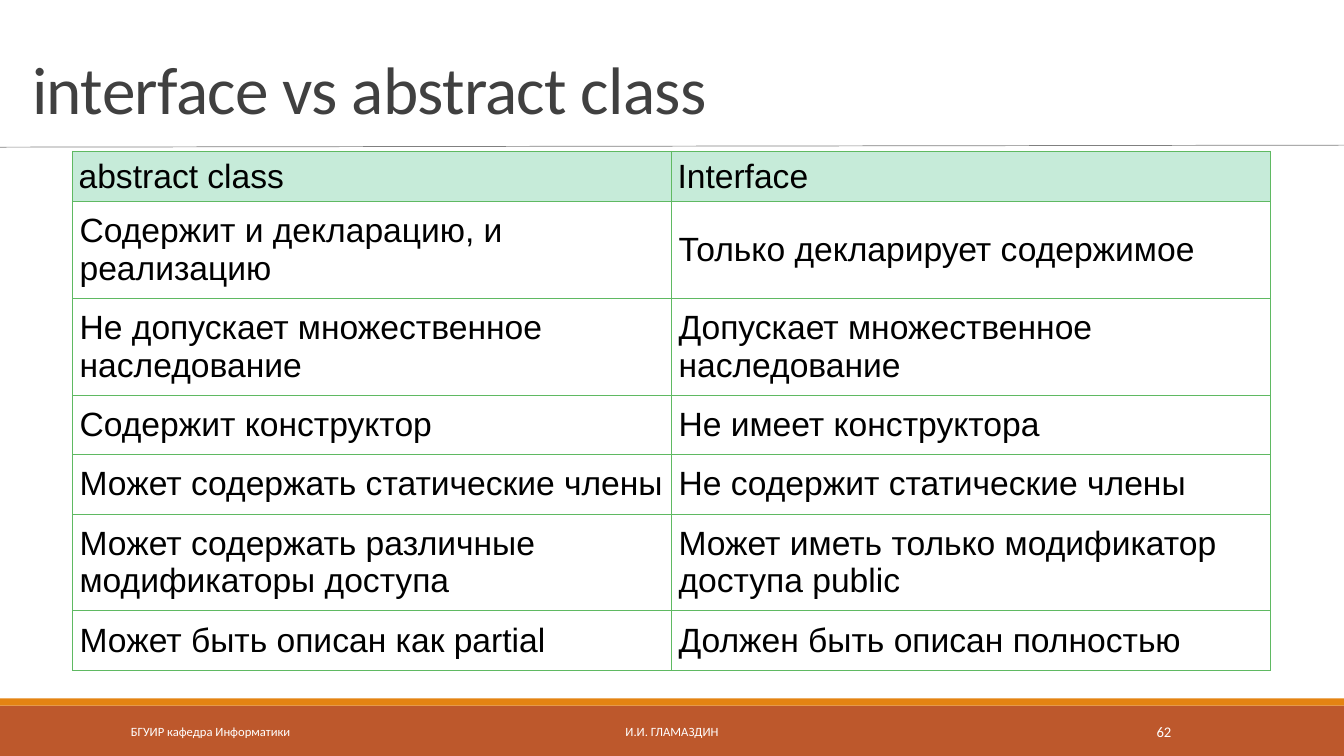
from lxml import etree
from pptx import Presentation
from pptx.dml.color import RGBColor
from pptx.enum import shapes, text
from pptx.oxml.ns import qn
from pptx.util import Inches, Pt

WHITE = RGBColor(0xFF, 0xFF, 0xFF)
BLACK = RGBColor(0, 0, 0)
TITLE_GREY = RGBColor(0x40, 0x40, 0x40)
RULE_GREY = RGBColor(0x80, 0x80, 0x80)
RUST = RGBColor(0xBD, 0x58, 0x2C)
ORANGE = RGBColor(0xE4, 0x83, 0x12)
HEADER_GREEN = RGBColor(0xC6, 0xEB, 0xD9)
BORDER_GREEN = RGBColor(0x5F, 0xB9, 0x62)

HEADER_HEIGHT, ONE_LINE, TWO_LINES = 0.5, 0.59, 0.96
COMPARISON = [
    (HEADER_HEIGHT, "abstract class", "Interface"),
    (TWO_LINES, "Содержит и декларацию, и реализацию", "Только декларирует содержимое"),
    (TWO_LINES, "Не допускает множественное наследование", "Допускает множественное наследование"),
    (ONE_LINE, "Содержит конструктор", "Не имеет конструктора"),
    (ONE_LINE, "Может содержать статические члены", "Не содержит статические члены"),
    (TWO_LINES, "Может содержать различные модификаторы доступа",
     "Может иметь только модификатор доступа public"),
    (ONE_LINE, "Может быть описан как partial", "Должен быть описан полностью"),
]
FOOTERS = [
    (1.2, 2.7, "БГУИР кафедра Информатики", 9, text.PP_ALIGN.LEFT),
    (4.03, 5.27, "И.И. ГЛАМАЗДИН", 9, text.PP_ALIGN.CENTER),
    (10.83, 1.43, "62", 10.5, text.PP_ALIGN.CENTER),
]


def style_font(font, name, size, color):
    font.name = name
    font.size = Pt(size)
    font.bold = False
    font.color.rgb = color


def add_cell_borders(cell):
    properties = cell._tc.get_or_add_tcPr()
    for side in ("a:lnL", "a:lnR", "a:lnT", "a:lnB"):
        line = etree.SubElement(properties, qn(side), w=str(Pt(0.6)))
        fill = etree.SubElement(line, qn("a:solidFill"))
        etree.SubElement(fill, qn("a:srgbClr"), val=str(BORDER_GREEN))


presentation = Presentation()
presentation.slide_width = Inches(13.33)
presentation.slide_height = Inches(7.5)
slide = presentation.slides.add_slide(presentation.slide_layouts[5])

# Footer bars and the rule under the title
for top, height, color in [(7, 0.5, RUST), (6.93, 0.07, ORANGE)]:
    bar = slide.shapes.add_shape(
        shapes.MSO_SHAPE.RECTANGLE, 0, Inches(top), Inches(13.33), Inches(height))
    bar.shadow.inherit = False
    bar.fill.solid()
    bar.fill.fore_color.rgb = color
    bar.line.fill.background()

rule = slide.shapes.add_connector(
    shapes.MSO_CONNECTOR.STRAIGHT, 0, Inches(1.46), Inches(13.37), Inches(1.44))
rule.line.color.rgb = RULE_GREY
rule.line.width = Pt(0.5)
etree.SubElement(rule._element.spPr, qn("a:effectLst"))

# Title
title = slide.shapes.title
title.left, title.top = Inches(0.22), Inches(0.31)
title.width, title.height = Inches(12.89), Inches(1.01)
title.text_frame.text = "interface vs abstract class"
title.text_frame.auto_size = text.MSO_AUTO_SIZE.NONE
title.text_frame.vertical_anchor = text.MSO_ANCHOR.BOTTOM
paragraph = title.text_frame.paragraphs[0]
paragraph.alignment = text.PP_ALIGN.LEFT
paragraph.line_spacing = 0.85
run = paragraph.runs[0]
style_font(run.font, "Calibri", 48, TITLE_GREY)
run._r.get_or_add_rPr().set("spc", "-50")

# Comparison table
table_height = sum(height for height, *_ in COMPARISON)
table = slide.shapes.add_table(
    len(COMPARISON), 2, Inches(0.72), Inches(1.5), Inches(11.88), Inches(table_height)).table
table.horz_banding = False
table.first_row = False
for row_index, (height, *entries) in enumerate(COMPARISON):
    table.rows[row_index].height = Inches(height)
    is_header = row_index == 0
    for column_index, entry in enumerate(entries):
        cell = table.cell(row_index, column_index)
        cell.text_frame.text = entry
        style_font(cell.text_frame.paragraphs[0].runs[0].font, "Arial", 24, BLACK)
        cell.vertical_anchor = text.MSO_ANCHOR.MIDDLE
        cell.margin_left = Inches(0.06 if is_header else 0.07)
        cell.margin_right = Inches(0.05)
        cell.margin_top = cell.margin_bottom = Inches(0.06 if is_header else 0.1)
        add_cell_borders(cell)
        if is_header:
            cell.fill.solid()
            cell.fill.fore_color.rgb = HEADER_GREEN
        else:
            cell.fill.background()

# Footer texts
for left, width, words, size, alignment in FOOTERS:
    footer = slide.shapes.add_textbox(Inches(left), Inches(7.06), Inches(width), Inches(0.4))
    footer.text_frame.word_wrap = True
    footer.text_frame.vertical_anchor = text.MSO_ANCHOR.MIDDLE
    footer.text_frame.text = words
    paragraph = footer.text_frame.paragraphs[0]
    paragraph.alignment = alignment
    style_font(paragraph.runs[0].font, "Calibri", size, WHITE)

presentation.save("out.pptx")
